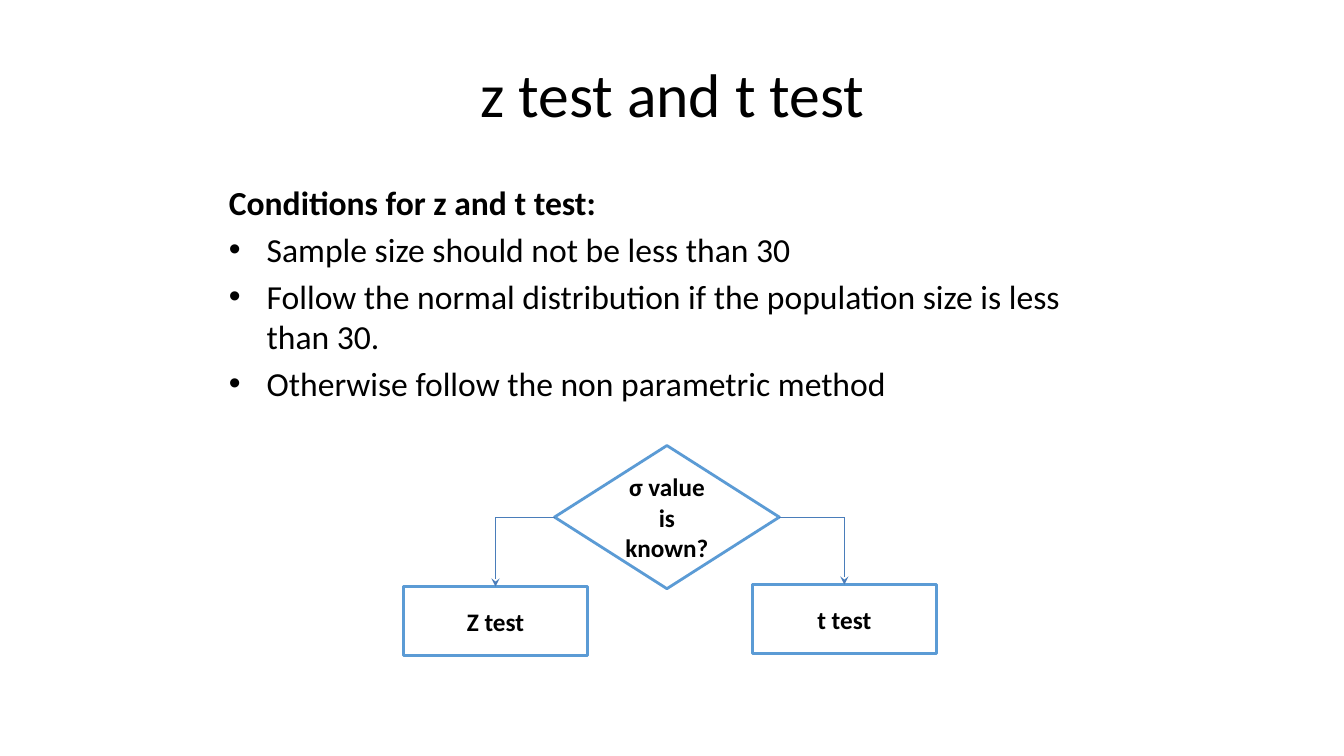
from lxml import etree
from pptx import Presentation, util as u
from pptx.dml.color import RGBColor
from pptx.enum import shapes, text
from pptx.oxml.ns import qn


def colour(hex_code):
    return RGBColor.from_string(hex_code)


class TestSlide:
    """Holds the style and the current slide and draws each kind of element."""

    FONT, INK, PAPER = "Calibri", "000000", "FFFFFF"
    OUTLINE, ARROW = "5B9BD5", "4A7DBA"

    def __init__(self, deck):
        self.slide = deck.slides.add_slide(deck.slide_layouts[1])

    def style(self, paragraph, size, bold=False):
        paragraph.font.name = self.FONT
        paragraph.font.size = u.Pt(size)
        paragraph.font.bold = bold
        paragraph.font.color.rgb = colour(self.INK)

    def place(self, placeholder, left, top, width, height):
        placeholder.left, placeholder.top = u.Inches(left), u.Inches(top)
        placeholder.width, placeholder.height = u.Inches(width), u.Inches(height)
        placeholder.text_frame.auto_size = text.MSO_AUTO_SIZE.NONE

    def title(self, wording, *box):
        heading = self.slide.shapes.title
        self.place(heading, *box)
        heading.text_frame.text = wording
        paragraph = heading.text_frame.paragraphs[0]
        paragraph.alignment = text.PP_ALIGN.CENTER
        self.style(paragraph, 44)

    def conditions(self, intro, points, *box):
        body = self.slide.placeholders[1]
        self.place(body, *box)
        body.text_frame.text = "\n".join([intro, *points])
        lead, *bullets = body.text_frame.paragraphs
        self.style(lead, 24, bold=True)
        lead.space_before = u.Pt(0)
        properties = lead._p.get_or_add_pPr()
        properties.set("marL", "0")
        properties.set("indent", "0")
        properties.insert_element_before(
            etree.Element(qn("a:buNone")), "a:tabLst", "a:defRPr", "a:extLst")
        for bullet in bullets:
            self.style(bullet, 24)
            bullet.space_before = u.Pt(4.8)

    def node(self, kind, wording, *box):
        node = self.slide.shapes.add_shape(kind, *map(u.Inches, box))
        node.shadow.inherit = False
        node.fill.solid()
        node.fill.fore_color.rgb = colour(self.PAPER)
        node.line.color.rgb = colour(self.OUTLINE)
        node.line.width = u.Pt(2)
        frame = node.text_frame
        frame.word_wrap = True
        frame.vertical_anchor = text.MSO_ANCHOR.MIDDLE
        frame.text = wording
        frame.paragraphs[0].alignment = text.PP_ALIGN.CENTER
        self.style(frame.paragraphs[0], 18, bold=True)
        return node

    def line(self, start, end):
        line = self.slide.shapes.add_connector(
            shapes.MSO_CONNECTOR.STRAIGHT, *start, *end)
        line.line.color.rgb = colour(self.ARROW)
        line.line.width = u.Pt(0.75)
        etree.SubElement(line._element.spPr, qn("a:effectLst"))
        return line

    def branch(self, decision, side, outcome):
        middle = decision.top + decision.height // 2
        edge = decision.left + (decision.width if side == 3 else 0)
        corner = outcome.left + outcome.width // 2, middle
        self.line((edge, middle), corner).begin_connect(decision, side)
        arrow = self.line(corner, (corner[0], outcome.top))
        arrow.end_connect(outcome, 0)
        etree.SubElement(arrow.line._get_or_add_ln(), qn("a:tailEnd"), type="stealth")


def main():
    deck = Presentation()
    deck.slide_width, deck.slide_height = u.Inches(13.33), u.Inches(7.5)
    page = TestSlide(deck)
    page.title("z test and t test", 2.17, 0.3, 9, 1.25)
    page.conditions(
        "Conditions for z and t test:",
        ["Sample size should not be less than 30",
         "Follow the normal distribution if the population size is less than 30.",
         "Otherwise follow the non parametric method"],
        2.17, 1.75, 9, 4.95)

    kinds = shapes.MSO_SHAPE
    sigma_known = page.node(kinds.DIAMOND, "σ value is known?", 5.5, 4.42, 2.23, 1.42)
    for wording, left, top, side in [("Z test", 4, 5.82, 1), ("t test", 7.46, 5.8, 3)]:
        outcome = page.node(kinds.RECTANGLE, wording, left, top, 1.83, 0.68)
        page.branch(sigma_known, side, outcome)
    deck.save("out.pptx")


if __name__ == "__main__":
    main()
